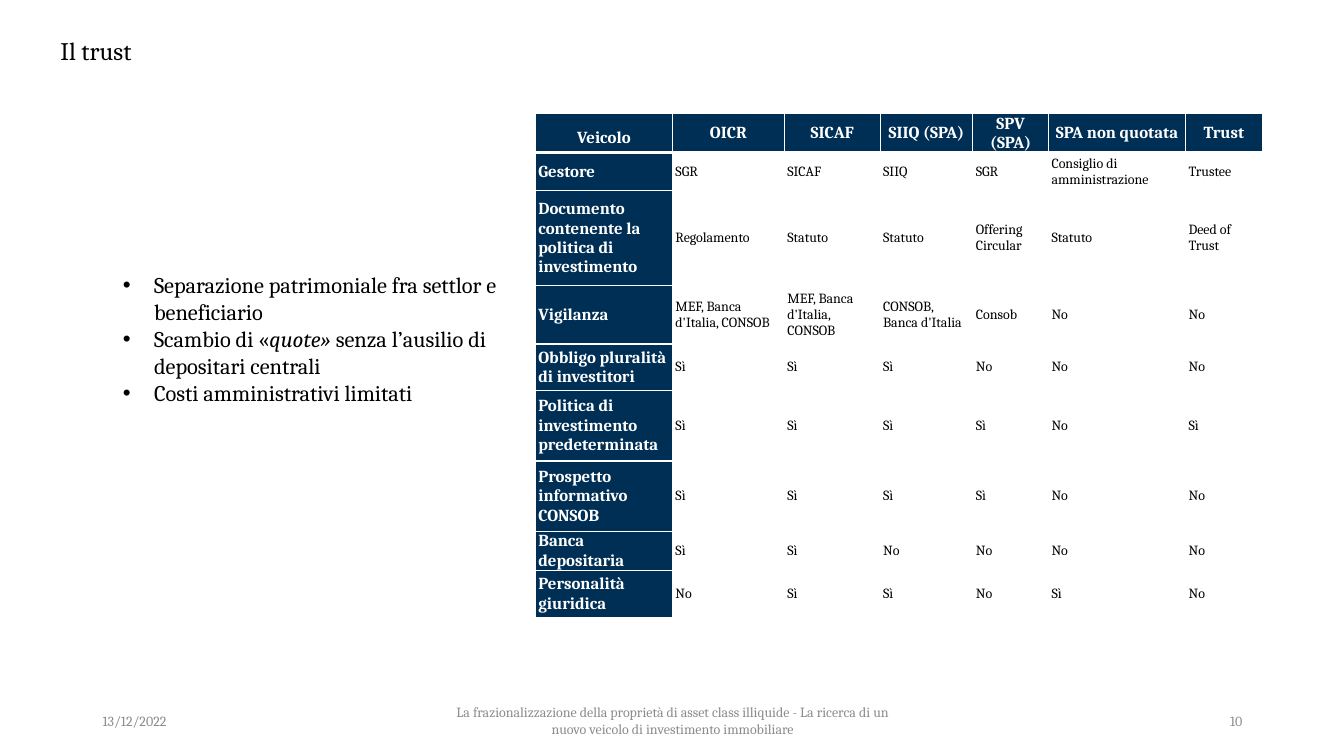
"""Build the slide on the trust, with a comparison table of investment vehicles."""
from lxml.etree import SubElement
from pptx import Presentation
from pptx.dml.color import RGBColor
from pptx.enum.text import MSO_ANCHOR as Anchor, MSO_AUTO_SIZE as AutoSize, PP_ALIGN as Align
from pptx.oxml.ns import qn
from pptx.util import Inches, Pt

FONT = "Cambria"
NAVY, WHITE, BLACK, GREY = "002F56", "FFFFFF", "000000", "8C8C8C"

TITLE = "Il trust"
BULLETS = [
    [("Separazione patrimoniale fra settlor e beneficiario", False)],
    [("Scambio di «", False), ("quote»", True),
     (" senza l’ausilio di depositari centrali", False)],
    [("Costi amministrativi limitati", False)],
]
FOOTERS = [
    ("13/12/2022", 0.92, 3, Align.LEFT),
    ("La frazionalizzazione della proprietà di asset class illiquide - "
     "La ricerca di un nuovo veicolo di investimento immobiliare", 4.42, 4.5, Align.CENTER),
    ("10", 9.42, 3, Align.RIGHT),
]
COLUMN_WIDTHS = [1.36, 1.11, 0.95, 0.92, 0.75, 1.36, 0.76]
ROW_HEIGHTS = [0.38, 0.38, 0.94, 0.58, 0.46, 0.7, 0.7, 0.39, 0.46]
VEHICLES = [
    ["Veicolo", "OICR", "SICAF", "SIIQ (SPA)", "SPV (SPA)", "SPA non quotata", "Trust"],
    ["Gestore", "SGR", "SICAF", "SIIQ", "SGR", "Consiglio di amministrazione", "Trustee"],
    ["Documento contenente la politica di investimento", "Regolamento", "Statuto", "Statuto",
     "Offering Circular", "Statuto", "Deed of Trust"],
    ["Vigilanza", "MEF, Banca d'Italia, CONSOB", "MEF, Banca d'Italia, CONSOB",
     "CONSOB, Banca d'Italia", "Consob", "No", "No"],
    ["Obbligo pluralità di investitori", "Sì", "Sì", "Sì", "No", "No", "No"],
    ["Politica di investimento predeterminata", "Sì", "Sì", "Sì", "Sì", "No", "Sì"],
    ["Prospetto informativo CONSOB", "Sì", "Sì", "Sì", "Sì", "No", "No"],
    ["Banca depositaria", "Sì", "Sì", "No", "No", "No", "No"],
    ["Personalità giuridica", "No", "Sì", "Sì", "No", "Sì", "No"],
]


def color(code):
    """Turn a hex string into a colour."""
    return RGBColor.from_string(code)


def style(para, size, code, align=Align.LEFT, bold=False):
    """Format a paragraph and all its runs."""
    para.alignment = align
    for span in para.runs:
        span.font.name = FONT
        span.font.size = Pt(size)
        span.font.bold = bold
        span.font.color.rgb = color(code)


def place(box, left, top, width, height):
    """Position a text box and centre its text vertically."""
    box.left, box.top = Inches(left), Inches(top)
    box.width, box.height = Inches(width), Inches(height)
    frame = box.text_frame
    frame.word_wrap = True
    frame.auto_size = AutoSize.NONE
    frame.vertical_anchor = Anchor.MIDDLE
    return frame


def add_borders(cell, widths):
    """Draw white borders, given the width of each side in points."""
    properties = cell._tc.get_or_add_tcPr()
    for side, width in widths.items():
        line = SubElement(properties, qn(f"a:ln{side}"), w=str(Pt(width)))
        fill = SubElement(line, qn("a:solidFill"))
        SubElement(fill, qn("a:srgbClr"), val=WHITE)


def fill_title(page):
    """Write the title."""
    frame = place(page.shapes.title, 0.5, 0.3, 4.6, 0.4)
    frame.text = TITLE
    style(frame.paragraphs[0], 18, BLACK)


def add_panel(page, width, height):
    """Add a clear freeform panel for text."""
    right, bottom = Inches(width), Inches(height)
    builder = page.shapes.build_freeform(0, 0)
    builder.add_line_segments([(right, 0), (right, bottom), (0, bottom)])
    panel = builder.convert_to_shape()
    panel.fill.background()
    panel.line.fill.background()
    panel.shadow.inherit = False
    return panel


def add_bullets(page):
    """Write the bullet list."""
    width, height = 3.98, 5.54
    frame = place(add_panel(page, width, height), 1.12, 0.59, width, height)
    for index, parts in enumerate(BULLETS):
        para = frame.add_paragraph() if index else frame.paragraphs[0]
        for text, italic in parts:
            span = para.add_run()
            span.text = text
            span.font.italic = italic
        style(para, 16, BLACK)
        properties = para._p.get_or_add_pPr()
        properties.set("marL", str(Inches(0.31)))
        properties.set("indent", str(Inches(-0.31)))
        SubElement(properties, qn("a:buFont"), typeface="Arial")
        SubElement(properties, qn("a:buChar"), char="•")


def add_footers(page):
    """Add the date, the footer and the page number."""
    for text, left, width, align in FOOTERS:
        frame = place(page.shapes.add_textbox(0, 0, 0, 0), left, 6.95, width, 0.4)
        frame.text = text
        style(frame.paragraphs[0], 10, GREY, align)


def format_cell(cell, text, row, column):
    """Write one cell, dark in the header row and the first column."""
    header = row == 0
    dark = header or column == 0
    cell.text = text
    cell.vertical_anchor = Anchor.MIDDLE
    cell.margin_left = cell.margin_right = Inches(0.03)
    cell.margin_top = cell.margin_bottom = 0
    para = cell.text_frame.paragraphs[0]
    style(para, 12 if dark else 10, WHITE if dark else BLACK,
          Align.CENTER if header else Align.LEFT, dark)
    para.space_after = Pt(8)
    if header and column == 0:
        para.line_spacing = 1.5
    add_borders(cell, {"L": 1, "R": 1, "T": 3 if row == 1 else 1, "B": 3 if header else 1})
    if dark:
        cell.fill.solid()
        cell.fill.fore_color.rgb = color(NAVY)
    else:
        cell.fill.background()


def add_vehicle_table(page):
    """Add the comparison of vehicles."""
    frame = page.shapes.add_table(
        len(VEHICLES), len(COLUMN_WIDTHS), Inches(5.31), Inches(1.13),
        Inches(sum(COLUMN_WIDTHS)), Inches(sum(ROW_HEIGHTS)))
    table = frame.table
    table.horz_banding = False
    table.first_col = True
    for column, width in zip(table.columns, COLUMN_WIDTHS):
        column.width = Inches(width)
    for row, height in zip(table.rows, ROW_HEIGHTS):
        row.height = Inches(height)
    for row, texts in enumerate(VEHICLES):
        for column, text in enumerate(texts):
            format_cell(table.cell(row, column), text, row, column)


deck = Presentation()
deck.slide_width, deck.slide_height = Inches(13.33), Inches(7.5)
page = deck.slides.add_slide(deck.slide_layouts[5])
fill_title(page)
add_bullets(page)
add_footers(page)
add_vehicle_table(page)
deck.save("out.pptx")
